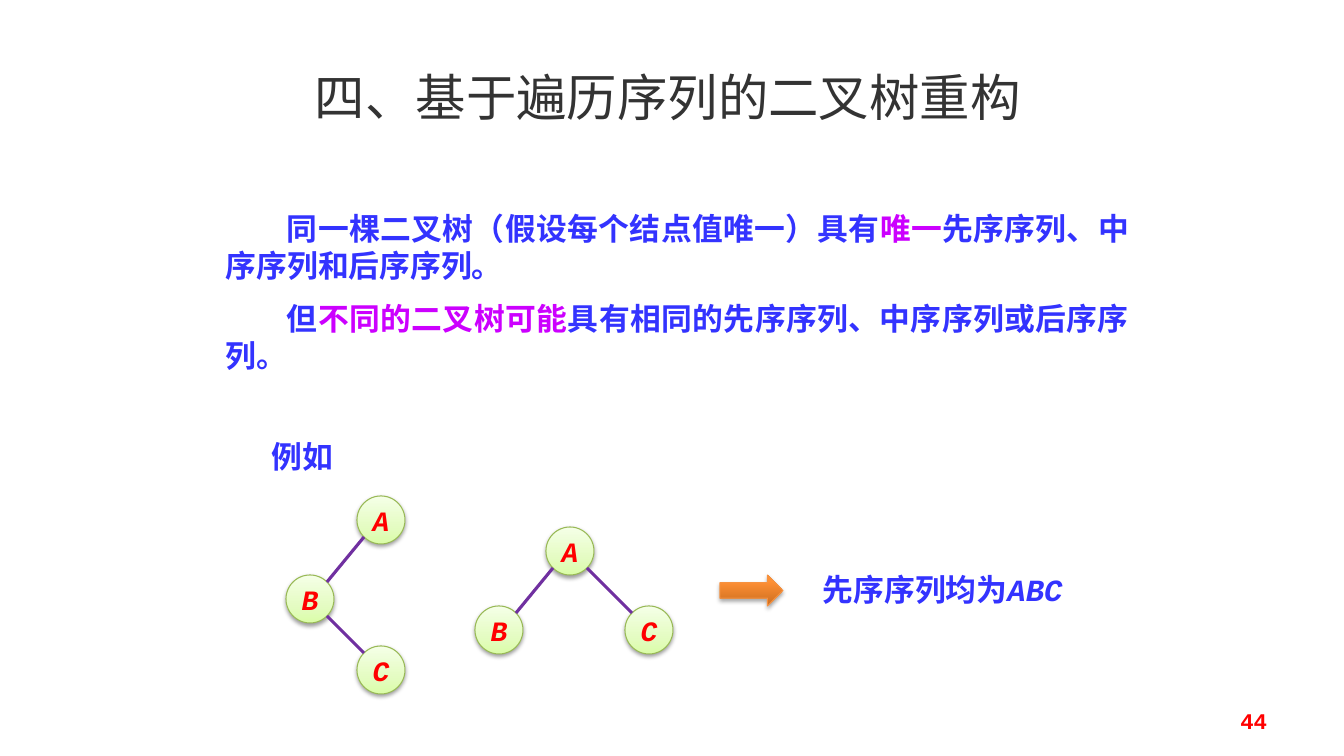
from dataclasses import dataclass
from lxml import etree
from pptx import Presentation
from pptx.dml.color import RGBColor
from pptx.enum.shapes import MSO_CONNECTOR, MSO_SHAPE
from pptx.enum.text import MSO_ANCHOR, MSO_AUTO_SIZE, PP_ALIGN
from pptx.oxml.ns import qn
from pptx.util import Emu, Pt

LEFT, CENTER, RIGHT, JUSTIFY = PP_ALIGN.LEFT, PP_ALIGN.CENTER, PP_ALIGN.RIGHT, PP_ALIGN.JUSTIFY
TOP, MIDDLE = MSO_ANCHOR.TOP, MSO_ANCHOR.MIDDLE
GROW = MSO_AUTO_SIZE.SHAPE_TO_FIT_TEXT
OVAL, ARROW = MSO_SHAPE.OVAL, MSO_SHAPE.RIGHT_ARROW
STRAIGHT = MSO_CONNECTOR.STRAIGHT


@dataclass(frozen=True)
class Theme:
    serif: str = "Times New Roman"
    mono: str = "Courier New"
    title: str = "333333"
    body: str = "3333FF"
    accent: str = "CC00FF"
    red: str = "FF0000"
    edge: str = "7030A0"
    node_line: str = "98B955"
    arrow_line: str = "F69240"
    node_stops: tuple = ((0, "DAFDA7"), (35, "E4FCC2"), (100, "F5FFE7"))
    arrow_stops: tuple = ((0, "CC6E20"), (80, "FF9034"), (100, "FF9136"))
    title_size: int = 36
    body_size: int = 22
    node_size: int = 20
    number_size: int = 16
    thin: float = 0.75
    thick: float = 2.25


T = Theme()
TITLE = "四、基于遍历序列的二叉树重构"
STATEMENTS = [
    [("同一棵二叉树（假设每个结点值唯一）具有", T.body), ("唯一", T.accent),
     ("先序序列、中序序列和后序序列。", T.body)],
    [("但", T.body), ("不同的二叉树可能", T.accent),
     ("具有相同的先序序列、中序序列或后序序列。", T.body)],
]
EXAMPLE = "例如"
RESULT = ("先序序列均为", "ABC")
NUMBER = "44"
TREES = [
    ({"A": (381, 520), "B": (310, 599), "C": (381, 670)}, ["AB", "BC"]),
    ({"A": (570, 551), "B": (499, 630), "C": (649, 630)}, ["AB", "AC"]),
]
TITLE_BOX = (305, 61, 733, 72)
BODY_BOX = (216, 205, 923, 178)
EXAMPLE_BOX = (262, 433, 165, 47)
RESULT_BOX = (813, 566, 283, 47)
NUMBER_BOX = (964, 701, 313, 40)
ARROW_BOX = (720, 575, 63, 31)
NODE = 48
RIM = 17
INDENT = 61
PX = 914400 / 100.8


def px(*lengths):
    return [Emu(round(v * PX)) for v in lengths]


def rgb(color):
    return RGBColor.from_string(color)


def style(p, font, size, color, bold=True, align=LEFT):
    p.alignment = align
    p.font.name, p.font.size, p.font.bold = font, Pt(size), bold
    p.font.color.rgb = rgb(color)


def add_text(slide, box, anchor=TOP, wrap=True, grow=True):
    tf = slide.shapes.add_textbox(*px(*box)).text_frame
    tf.word_wrap = wrap
    tf.vertical_anchor = anchor
    if grow:
        tf.auto_size = GROW
    return tf


def add_shape(slide, kind, box, stops, line, alpha, dist):
    sp = slide.shapes.add_shape(kind, *px(*box))
    sp.line.color.rgb = rgb(line)
    sp.line.width = Pt(T.thin)
    sp.fill.gradient()
    sp.fill.gradient_angle = 90
    spPr = sp._element.spPr
    stop_list = spPr.find(".//" + qn("a:gsLst"))
    stop_list.clear()
    for pos, color in stops:
        gs = etree.SubElement(stop_list, qn("a:gs"), pos=str(pos * 1000))
        etree.SubElement(gs, qn("a:srgbClr"), val=color)
    sp.shadow.inherit = False
    shadow = etree.SubElement(
        spPr.find(qn("a:effectLst")), qn("a:outerShdw"), blurRad=str(Pt(3.1)),
        dist=str(Pt(dist)), dir="5400000", rotWithShape="0")
    color = etree.SubElement(shadow, qn("a:srgbClr"), val="000000")
    etree.SubElement(color, qn("a:alpha"), val=str(alpha * 1000))
    return sp


def add_node(slide, label, x, y):
    box = (x - NODE / 2, y - NODE / 2, NODE, NODE)
    tf = add_shape(slide, OVAL, box, T.node_stops, T.node_line, 38, 1.6).text_frame
    tf.margin_left = tf.margin_right = tf.margin_top = tf.margin_bottom = 0
    tf.word_wrap = False
    tf.vertical_anchor = MIDDLE
    p = tf.paragraphs[0]
    p.text = label
    style(p, T.mono, T.node_size, T.red, align=CENTER)
    p.font.italic = True


def add_edge(slide, parent, child):
    (x1, y1), (x2, y2) = parent, child
    dx = RIM if x2 > x1 else -RIM
    edge = slide.shapes.add_connector(STRAIGHT, *px(x1 + dx, y1 + RIM, x2 - dx, y2 - RIM))
    edge.line.color.rgb = rgb(T.edge)
    edge.line.width = Pt(T.thick)
    etree.SubElement(edge._element.spPr, qn("a:effectLst"))


def add_statements(slide):
    tf = add_text(slide, BODY_BOX)
    for i, runs in enumerate(STATEMENTS):
        p = tf.add_paragraph() if i else tf.paragraphs[0]
        style(p, T.serif, T.body_size, T.body, align=JUSTIFY)
        p._p.get_or_add_pPr().set("indent", str(px(INDENT)[0]))
        if i:
            p.space_before = Pt(T.body_size / 2)
        for text, color in runs:
            r = p.add_run()
            r.text = text
            r.font.color.rgb = rgb(color)


def main():
    prs = Presentation()
    prs.slide_width, prs.slide_height = px(1344, 756)
    slide = prs.slides.add_slide(prs.slide_layouts[6])
    add_statements(slide)

    p = add_text(slide, NUMBER_BOX, MIDDLE, grow=False).paragraphs[0]
    p.text = NUMBER
    style(p, T.mono, T.number_size, T.red, align=RIGHT)

    for nodes, edges in TREES:
        for label, (x, y) in nodes.items():
            add_node(slide, label, x, y)
        for parent, child in edges:
            add_edge(slide, nodes[parent], nodes[child])

    add_shape(slide, ARROW, ARROW_BOX, T.arrow_stops, T.arrow_line, 35, 1.8)

    p = add_text(slide, RESULT_BOX).paragraphs[0]
    style(p, T.mono, T.body_size, T.body)
    for text in RESULT:
        r = p.add_run()
        r.text = text
    r.font.italic = True

    p = add_text(slide, EXAMPLE_BOX).paragraphs[0]
    p.text = EXAMPLE
    style(p, T.mono, T.body_size, T.body)

    p = add_text(slide, TITLE_BOX, wrap=False).paragraphs[0]
    p.text = TITLE
    style(p, T.serif, T.title_size, T.title, bold=False)
    prs.save("out.pptx")


if __name__ == "__main__":
    main()
